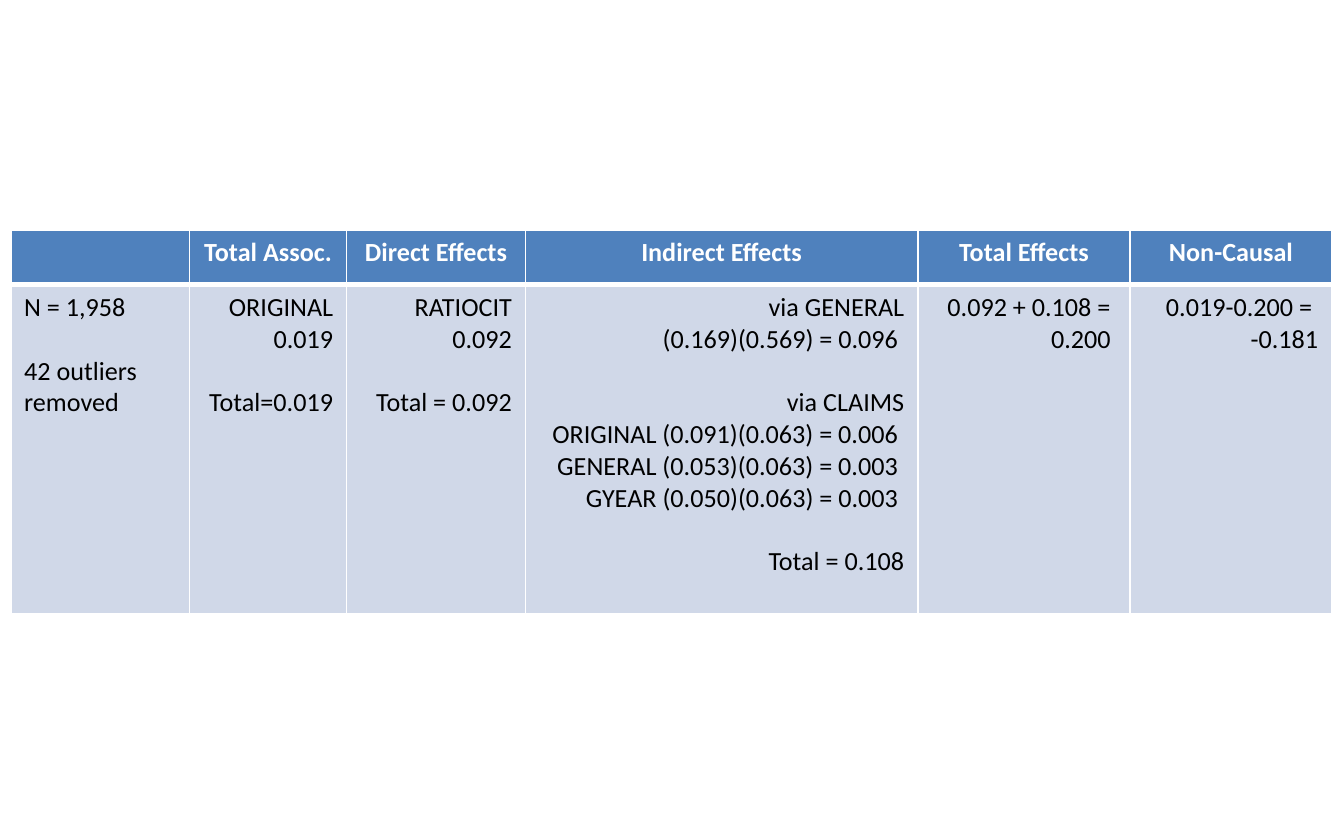
from dataclasses import dataclass

from lxml.etree import SubElement
from pptx import Presentation
from pptx.dml.color import RGBColor
from pptx.enum.text import PP_ALIGN
from pptx.oxml.ns import qn
from pptx.util import Inches, Pt


@dataclass(frozen=True)
class Theme:
    font: str = "Calibri"
    size: int = 14
    block_gap: int = 17
    header_fill: str = "4F81BD"
    body_fill: str = "D0D8E8"
    header_text: str = "FFFFFF"
    body_text: str = "000000"
    border: str = "FFFFFF"


THEME = Theme()
COLUMN_WIDTHS = [1.33, 1.17, 1.33, 2.92, 1.58, 1.5]
ROW_HEIGHTS = [0.41, 2.45]
HEADERS = ["", "Total Assoc.", "Direct Effects", "Indirect Effects",
           "Total Effects", "Non-Causal"]
# Each cell is a list of blocks, each block a list of paragraphs.
EFFECTS = [
    [["N = 1,958"], ["42 outliers removed"]],
    [["ORIGINAL", "0.019"], ["Total=0.019"]],
    [["RATIOCIT", "0.092"], ["Total = 0.092"]],
    [["via GENERAL", "(0.169)(0.569) = 0.096 "],
     ["via CLAIMS",
      "ORIGINAL (0.091)(0.063) = 0.006 ",
      "GENERAL (0.053)(0.063) = 0.003 ",
      "GYEAR (0.050)(0.063) = 0.003 "],
     ["Total = 0.108"]],
    [["0.092 + 0.108 = ", "0.200 "]],
    [["0.019-0.200 = \v-0.181"]],
]


def write_blocks(tf, blocks, *, color, align, bold=False):
    """Write blocks of paragraphs, with a gap between blocks."""
    tf.word_wrap = True
    lines = [(text, i > 0 and j == 0)
             for i, block in enumerate(blocks) for j, text in enumerate(block)]
    for n, (text, gap) in enumerate(lines):
        p = tf.add_paragraph() if n else tf.paragraphs[0]
        p.text = text
        p.alignment = align
        p.space_before = Pt(THEME.block_gap if gap else 0)
        for r in p.runs:
            r.font.name = THEME.font
            r.font.size = Pt(THEME.size)
            r.font.bold = bold
            r.font.color.rgb = RGBColor.from_string(color)


def style_cell(cell, fill, top, bottom):
    """Set the fill and the borders, with top and bottom widths in points."""
    tc_pr = cell._tc.get_or_add_tcPr()
    for side, width in (("L", 1), ("R", 1), ("T", top), ("B", bottom)):
        ln = SubElement(tc_pr, qn(f"a:ln{side}"), w=str(Pt(width)))
        solid = SubElement(ln, qn("a:solidFill"))
        SubElement(solid, qn("a:srgbClr"), val=THEME.border)
    cell.fill.solid()
    cell.fill.fore_color.rgb = RGBColor.from_string(fill)


def add_effects_table(s):
    table = s.shapes.add_table(
        len(ROW_HEIGHTS), len(COLUMN_WIDTHS), Inches(0.08), Inches(1.71),
        Inches(sum(COLUMN_WIDTHS)), Inches(sum(ROW_HEIGHTS))).table
    for row, height in zip(table.rows, ROW_HEIGHTS):
        row.height = Inches(height)
    for c, width in enumerate(COLUMN_WIDTHS):
        table.columns[c].width = Inches(width)
        header, body = table.cell(0, c), table.cell(1, c)
        style_cell(header, THEME.header_fill, top=1, bottom=3)
        style_cell(body, THEME.body_fill, top=3, bottom=1)
        write_blocks(header.text_frame, [[HEADERS[c]]], bold=True,
                     color=THEME.header_text, align=PP_ALIGN.CENTER)
        write_blocks(body.text_frame, EFFECTS[c], color=THEME.body_text,
                     align=PP_ALIGN.RIGHT if c else PP_ALIGN.LEFT)


def main():
    prs = Presentation()
    prs.slide_width, prs.slide_height = Inches(10), Inches(6.25)
    s = prs.slides.add_slide(prs.slide_layouts[6])
    add_effects_table(s)
    prs.save("out.pptx")


if __name__ == "__main__":
    main()
